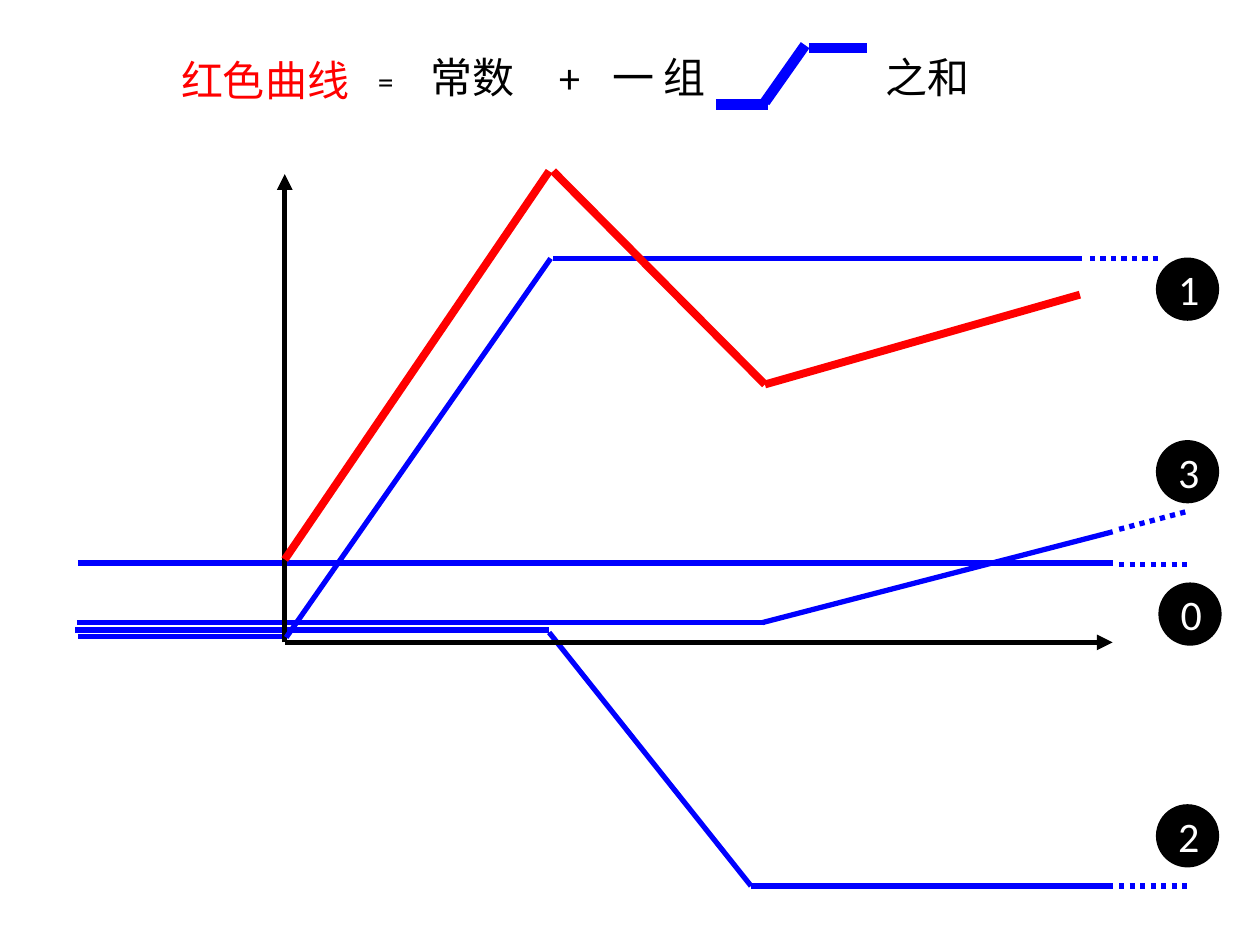
from pptx import Presentation
from pptx.dml.color import RGBColor
from pptx.enum.dml import MSO_LINE
from pptx.enum.shapes import MSO_CONNECTOR, MSO_SHAPE
from pptx.enum.text import MSO_ANCHOR, PP_ALIGN
from pptx.oxml.ns import qn
from pptx.util import Cm, Pt
from lxml.etree import SubElement

COLORS = {"blue": "0000FF", "red": "FF0000", "black": "000000", "white": "FFFFFF"}
FONT = "Calibri"
BADGE_SIZE = 1.24

# Each line is (x1, y1, x2, y2) in centimetres.
STEP_LINES = [
    (11.15, 5.21, 21.82, 5.21),
    (1.57, 12.83, 5.74, 12.83),
    (1.52, 12.7, 11.07, 12.7),
    (11.07, 12.75, 15.14, 17.86),
    (15.14, 17.86, 22.43, 17.86),
    (1.55, 12.55, 15.42, 12.55),
    (15.37, 12.55, 22.43, 10.72),
    (1.57, 11.35, 22.43, 11.35),
]
AXES = [(5.74, 12.95, 22.43, 12.95), (5.74, 12.95, 5.74, 3.51)]
FIRST_RISE = [(5.77, 12.85, 11.1, 5.21)]
RED_CURVE = [
    (5.74, 11.28, 11.07, 3.45),
    (11.15, 3.45, 15.42, 7.75),
    (21.77, 5.94, 15.42, 7.75),
]
DOTTED_TAILS = [
    (22.56, 10.67, 23.93, 10.31),
    (21.97, 5.21, 23.37, 5.21),
    (22.56, 11.38, 23.95, 11.38),
    (22.56, 17.86, 23.93, 17.86),
]
STEP_SYMBOL = [
    (16.31, 0.97, 17.48, 0.97),
    (14.43, 2.11, 15.49, 2.11),
    (15.42, 2.06, 16.23, 0.91),
]
BADGES = [("0", 23.37, 11.76), ("1", 23.32, 5.21), ("2", 23.32, 16.23), ("3", 23.32, 8.89)]
FORMULA = [
    ("红色曲线", 3.4, 0.97, 4.0, "red", 24),
    ("=", 7.37, 1.13, 1.0, "black", 18),
    ("常数", 8.43, 0.91, 2.4, "black", 24),
    ("+", 11.02, 0.91, 1.1, "black", 24),
    ("一 组", 12.09, 0.91, 2.7, "black", 24),
    ("之和", 17.6, 0.91, 2.4, "black", 24),
]


def rgb(name):
    return RGBColor.from_string(COLORS[name])


def style_text(paragraph, color, size):
    font = paragraph.runs[0].font
    font.name = FONT
    font.size = Pt(size)
    font.color.rgb = rgb(color)


def add_lines(slide, lines, color, width=3, dotted=False, arrow=False):
    for points in lines:
        connector = slide.shapes.add_connector(
            MSO_CONNECTOR.STRAIGHT, *[Cm(value) for value in points])
        connector.line.color.rgb = rgb(color)
        connector.line.width = Pt(width)
        if dotted:
            connector.line.dash_style = MSO_LINE.ROUND_DOT
        if arrow:
            SubElement(connector.line._get_or_add_ln(), qn("a:tailEnd"), type="triangle")
        SubElement(connector._element.spPr, qn("a:effectLst"))


def add_badge(slide, label, left, top):
    badge = slide.shapes.add_shape(
        MSO_SHAPE.OVAL, Cm(left), Cm(top), Cm(BADGE_SIZE), Cm(BADGE_SIZE))
    badge.shadow.inherit = False
    badge.fill.solid()
    badge.fill.fore_color.rgb = rgb("black")
    badge.line.color.rgb = rgb("black")
    badge.line.width = Pt(1)
    text_frame = badge.text_frame
    text_frame.text = label
    text_frame.vertical_anchor = MSO_ANCHOR.MIDDLE
    paragraph = text_frame.paragraphs[0]
    paragraph.alignment = PP_ALIGN.CENTER
    style_text(paragraph, "white", 24)


def add_term(slide, text, left, top, width, color, size):
    """Add one term of the formula above the graph."""
    box = slide.shapes.add_textbox(Cm(left), Cm(top), Cm(width), Cm(1.27))
    box.text_frame.word_wrap = True
    box.text_frame.text = text
    style_text(box.text_frame.paragraphs[0], color, size)


def main():
    presentation = Presentation()
    presentation.slide_width = Cm(25.4)
    presentation.slide_height = Cm(19.05)
    slide = presentation.slides.add_slide(presentation.slide_layouts[6])

    add_lines(slide, STEP_LINES, "blue")
    add_lines(slide, AXES, "black", arrow=True)
    add_lines(slide, FIRST_RISE, "blue")
    add_lines(slide, RED_CURVE, "red", width=4.5)
    add_lines(slide, DOTTED_TAILS, "blue", dotted=True)
    for badge in BADGES:
        add_badge(slide, *badge)
    for term in FORMULA:
        add_term(slide, *term)
    add_lines(slide, STEP_SYMBOL, "blue", width=6)

    presentation.save("out.pptx")


if __name__ == "__main__":
    main()
